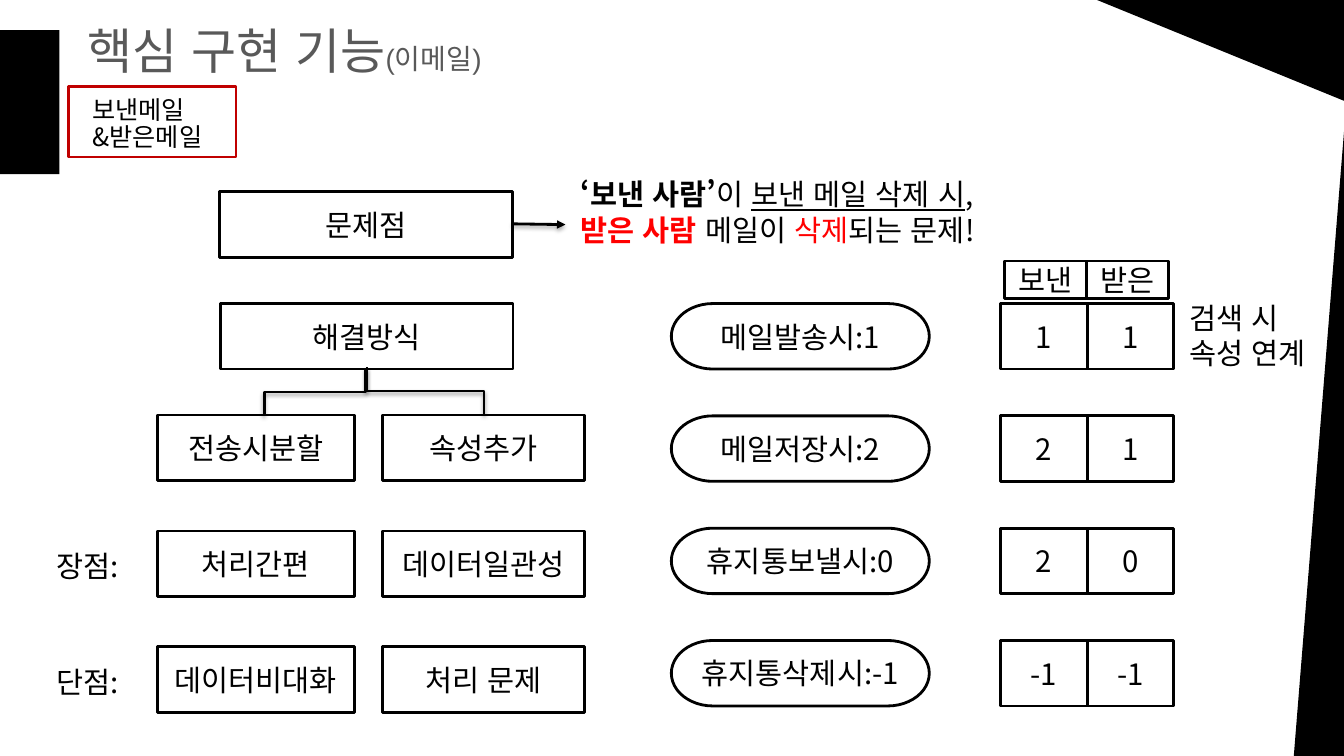
from lxml import etree
from pptx import Presentation
from pptx import util as u
from pptx.dml.color import RGBColor
from pptx.enum import lang, shapes, text
from pptx.oxml import parse_xml
from pptx.oxml.ns import nsdecls, qn

BLACK = RGBColor(0, 0, 0)
WHITE = RGBColor(255, 255, 255)
GRAY = RGBColor(0x59, 0x59, 0x59)
RED = RGBColor(255, 0, 0)
DARK_RED = RGBColor(0xC0, 0, 0)
FONT = "Noto Sans CJK KR"
MSO = shapes.MSO_SHAPE
LEFT, CENTER = text.PP_ALIGN.LEFT, text.PP_ALIGN.CENTER
TOP, MIDDLE = text.MSO_ANCHOR.TOP, text.MSO_ANCHOR.MIDDLE


def write(sp, *lines, size=21, font=FONT, color=BLACK, align=LEFT, anchor=TOP, spacing=None):
    tf = sp.text_frame
    tf.word_wrap = True
    tf.auto_size = text.MSO_AUTO_SIZE.NONE
    tf.vertical_anchor = anchor
    for i, line in enumerate(lines):
        p = tf.add_paragraph() if i else tf.paragraphs[0]
        p.alignment = align
        p.line_spacing = spacing
        for content, style in [(line, {})] if isinstance(line, str) else line:
            r = p.add_run()
            r.text = content
            f = r.font
            f.name = font
            f.size = u.Pt(style.get("size", size))
            f.bold = style.get("bold", False)
            f.underline = style.get("underline", False)
            f.language_id = lang.MSO_LANGUAGE_ID.KOREAN
            f.color.rgb = style.get("color", color)
            ea = etree.SubElement(r._r.rPr, qn("a:ea"))
            ea.set("typeface", FONT)


def shape(kind, x, y, w, h, fill=WHITE, line=BLACK):
    sp = s.shapes.add_shape(kind, u.Cm(x), u.Cm(y), u.Cm(w), u.Cm(h))
    sp.shadow.inherit = False
    if fill is None:
        sp.fill.background()
    else:
        sp.fill.solid()
        sp.fill.fore_color.rgb = fill
    if line is None:
        sp.line.fill.background()
    else:
        sp.line.color.rgb = line
        sp.line.width = u.Pt(2)
    return sp


prs = Presentation()
prs.slide_width, prs.slide_height = u.Cm(33.87), u.Cm(19.05)
s = prs.slides.add_slide(prs.slide_layouts[5])

for x, y, w, h, angle in [
    (27.13, -4.19, 19.18, 7.59, 22.2),
    (0, 0.76, 1.5, 3.63, 0),
    (22.73, 7.7, 33.27, 12.67, 274.6),
]:
    shape(MSO.RECTANGLE, x, y, w, h, fill=BLACK, line=None).rotation = angle

title = s.shapes.title
title.left, title.top, title.width, title.height = u.Cm(0.2), u.Cm(-0.86), u.Cm(13.94), u.Cm(4.24)
tf = title.text_frame
tf.margin_left = tf.margin_right = u.Cm(0.3)
tf.margin_top = tf.margin_bottom = u.Cm(0.15)
write(title, [("핵심 구현 기능", {}), ("(이메일)", {"size": 20})],
      size=35, font="Arial", color=GRAY, align=CENTER, anchor=MIDDLE)

shape(MSO.RECTANGLE, 1.73, 2.18, 4.22, 1.78, fill=None, line=DARK_RED)

problem = [
    [("‘보낸 사람’", {"bold": True}), ("이 ", {}), ("보낸 메일 삭제 시", {"underline": True}), (",", {})],
    [("받은 사람 ", {"bold": True, "color": RED}), ("메일이 ", {}), ("삭제", {"color": RED}), ("되는 문제!", {})],
]
for x, y, w, h, lines, style in [
    (2.08, 2.34, 3.89, 1.63, ["보낸메일", "&받은메일"], {"size": 18, "anchor": MIDDLE, "spacing": 0.9}),
    (14.38, 4.32, 11.35, 2.06, problem, {}),
    (29.72, 7.44, 4.06, 2.06, ["검색 시", "속성 연계"], {}),
    (1.17, 13.69, 2.13, 1.02, ["장점:"], {}),
    (1.17, 16.61, 2.13, 1.02, ["단점:"], {}),
]:
    tb = s.shapes.add_textbox(u.Cm(x), u.Cm(y), u.Cm(w), u.Cm(h))
    write(tb, *lines, **style)

boxes = [
    (MSO.FLOWCHART_PROCESS, 5.54, 4.83, 7.37, 1.65, "문제점"),
    (MSO.FLOWCHART_PROCESS, 5.56, 7.65, 7.37, 1.65, "해결방식"),
]
methods = [("전송시분할", "속성추가"), ("처리간편", "데이터일관성"), ("데이터비대화", "처리 문제")]
for i, (split, attribute) in enumerate(methods):
    y = 10.46 + 2.92 * i
    boxes.append((MSO.FLOWCHART_PROCESS, 3.96, y, 4.98, 1.65, split))
    boxes.append((MSO.FLOWCHART_PROCESS, 9.65, y, 5.08, 1.65, attribute))

states = [
    ("메일발송시:1", "1", "1"),
    ("메일저장시:2", "2", "1"),
    ("휴지통보낼시:0", "2", "0"),
    ("휴지통삭제시:-1", "-1", "-1"),
]
for i, (state, sent, received) in enumerate(states):
    y = 7.65 + 2.83 * i
    boxes.append((MSO.FLOWCHART_TERMINATOR, 16.92, y, 6.5, 1.65, state))
    boxes.append((MSO.FLOWCHART_PROCESS, 25.22, y, 2.18, 1.65, sent))
    boxes.append((MSO.FLOWCHART_PROCESS, 27.4, y, 2.18, 1.65, received))
for i, heading in enumerate(["보낸", "받은"]):
    boxes.append((MSO.FLOWCHART_PROCESS, 25.32 + 2.06 * i, 6.58, 2.06, 0.94, heading))

for kind, x, y, w, h, label in boxes:
    write(shape(kind, x, y, w, h), label, align=CENTER, anchor=MIDDLE)

STRAIGHT, ELBOW = shapes.MSO_CONNECTOR.STRAIGHT, shapes.MSO_CONNECTOR.ELBOW
for kind, x1, y1, x2, y2, angle in [
    (ELBOW, 7.34, 8.61, 8.53, 11.15, 90),
    (ELBOW, 11.32, 8.38, 10.13, 11.33, 270),
    (STRAIGHT, 12.9, 5.64, 14.25, 5.66, 0),
]:
    c = s.shapes.add_connector(kind, u.Cm(x1), u.Cm(y1), u.Cm(x2), u.Cm(y2))
    c.line.color.rgb = BLACK
    c.line.width = u.Pt(2)
    spPr = c._element.spPr
    if angle:
        spPr.find(qn("a:xfrm")).set("rot", str(angle * 60000))
    else:
        etree.SubElement(c.line._get_or_add_ln(), qn("a:tailEnd")).set("type", "triangle")
    spPr.append(parse_xml(
        f'<a:effectLst {nsdecls("a")}><a:outerShdw blurRad="39370" dist="22860" dir="5400000" '
        'rotWithShape="0"><a:srgbClr val="000000"><a:alpha val="35000"/></a:srgbClr>'
        '</a:outerShdw></a:effectLst>'))

prs.save("out.pptx")
